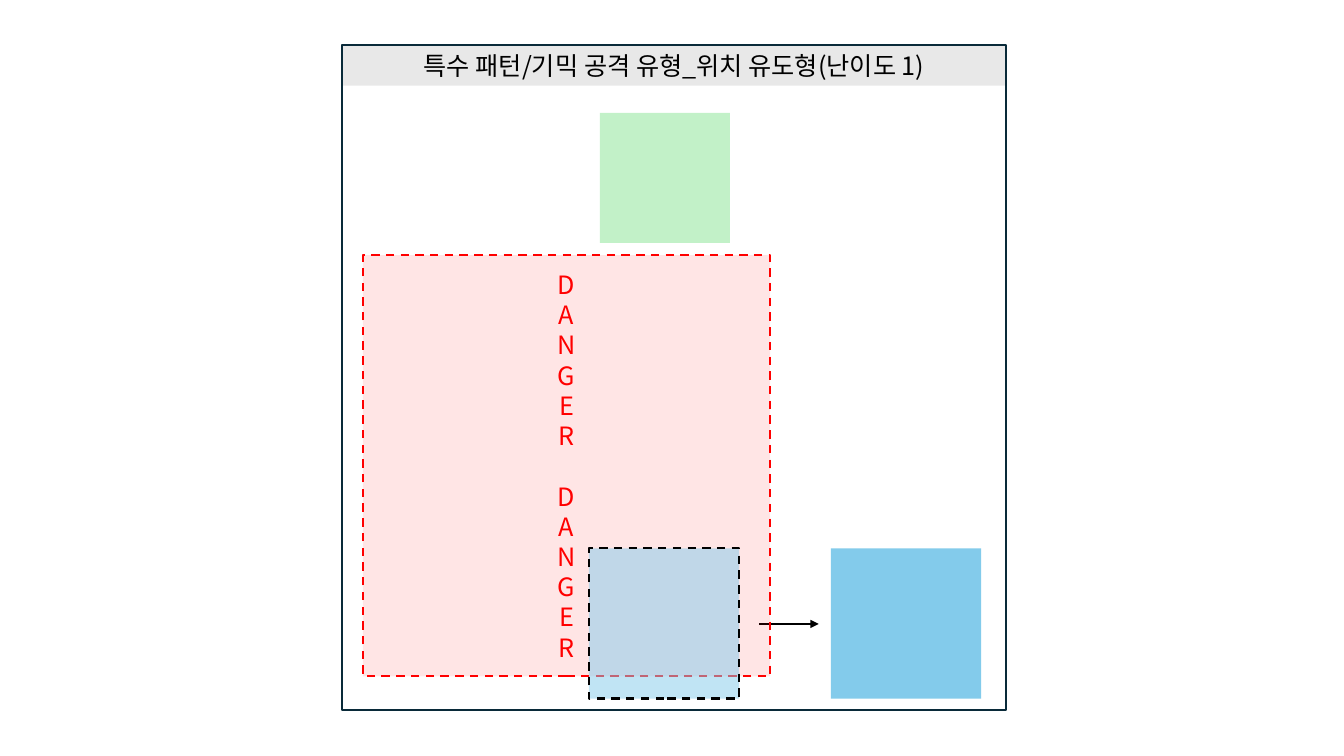
from dataclasses import dataclass
from typing import Optional

import lxml.etree
import pptx
import pptx.dml.color
import pptx.enum.dml
import pptx.enum.shapes
import pptx.enum.text
import pptx.oxml.ns
import pptx.shapes.autoshape
import pptx.slide
import pptx.util

RGBColor = pptx.dml.color.RGBColor
Inches = pptx.util.Inches
qn = pptx.oxml.ns.qn

BLACK = RGBColor(0x00, 0x00, 0x00)
GRAY = RGBColor(0xE8, 0xE8, 0xE8)
GREEN = RGBColor(0xC2, 0xF1, 0xC8)
NAVY = RGBColor(0x09, 0x2A, 0x39)
BLUE = RGBColor(0x83, 0xCB, 0xEB)
RED = RGBColor(0xFF, 0x00, 0x00)

FONT = "Noto Sans CJK KR"
TEXT_SIZE = pptx.util.Pt(18)
LINE_WIDTH = pptx.util.Pt(1.5)
WORD_GAP = pptx.util.Pt(21.6)

ARENA_LEFT, ARENA_TOP, ARENA_SIDE = 3.39, 0.45, 6.59
PLAYER_TOP, PLAYER_SIDE = 5.44, 1.49
ARROW_Y = 6.19


@dataclass(frozen=True)
class Box:
    left: float
    top: float
    width: float
    height: float
    fill: Optional[RGBColor] = None
    opacity: int = 100
    line: Optional[RGBColor] = None
    dashed: bool = False


TITLE_BAR = Box(ARENA_LEFT, ARENA_TOP, ARENA_SIDE, 0.4, GRAY)
BOSS = Box(5.95, 1.12, 1.29, 1.29, GREEN)
ARENA = Box(ARENA_LEFT, ARENA_TOP, ARENA_SIDE, ARENA_SIDE, line=NAVY)
PLAYER_AFTER = Box(8.24, PLAYER_TOP, PLAYER_SIDE, PLAYER_SIDE, BLUE)
DANGER_ZONE = Box(3.6, 2.53, 4.04, 4.18, RED, 10, RED, True)
PLAYER_BEFORE = Box(5.84, PLAYER_TOP, PLAYER_SIDE, PLAYER_SIDE, BLUE, 50, BLACK, True)


def draw_box(page: pptx.slide.Slide, box: Box) -> pptx.shapes.autoshape.Shape:
    shape = page.shapes.add_shape(
        pptx.enum.shapes.MSO_SHAPE.RECTANGLE,
        Inches(box.left), Inches(box.top), Inches(box.width), Inches(box.height),
    )
    shape.shadow.inherit = False
    if box.fill is None:
        shape.fill.background()
    else:
        shape.fill.solid()
        shape.fill.fore_color.rgb = box.fill
    if box.opacity < 100:
        color = shape.fill._xPr.find(qn("a:solidFill"))[0]
        lxml.etree.SubElement(color, qn("a:alpha"), val=str(box.opacity * 1000))
    if box.line is None:
        shape.line.fill.background()
    else:
        shape.line.color.rgb = box.line
        shape.line.width = LINE_WIDTH
    if box.dashed:
        shape.line.dash_style = pptx.enum.dml.MSO_LINE.DASH
    return shape


def write_words(shape: pptx.shapes.autoshape.Shape, words: list[list[str]], color: RGBColor) -> None:
    frame = shape.text_frame
    frame.word_wrap = True
    para = frame.paragraphs[0]
    for word_index, lines in enumerate(words):
        for line_index, text in enumerate(lines):
            if word_index or line_index:
                para = frame.add_paragraph()
            if word_index and not line_index:
                para.space_before = WORD_GAP
            para.alignment = pptx.enum.text.PP_ALIGN.CENTER
            span = para.add_run()
            span.text = text
            span.font.size = TEXT_SIZE
            span.font.color.rgb = color
            span.font.name = FONT
            lxml.etree.SubElement(span.font._element, qn("a:ea"), typeface=FONT)


def draw_arrow(page: pptx.slide.Slide, start: float, end: float, y: float) -> None:
    arrow = page.shapes.add_connector(
        pptx.enum.shapes.MSO_CONNECTOR.STRAIGHT,
        Inches(start), Inches(y), Inches(end), Inches(y),
    )
    arrow.line.color.rgb = BLACK
    arrow.line.width = LINE_WIDTH
    lxml.etree.SubElement(arrow.line._get_or_add_ln(), qn("a:tailEnd"), type="triangle")
    lxml.etree.SubElement(arrow._element.spPr, qn("a:effectLst"))


def main() -> None:
    deck = pptx.Presentation()
    deck.slide_width = Inches(13.33)
    deck.slide_height = Inches(7.5)
    page = deck.slides.add_slide(deck.slide_layouts[6])

    title = draw_box(page, TITLE_BAR)
    write_words(title, [["특수 패턴/기믹 공격 유형_위치 유도형(난이도 1)"]], BLACK)
    title.text_frame.auto_size = pptx.enum.text.MSO_AUTO_SIZE.SHAPE_TO_FIT_TEXT
    title.text_frame.vertical_anchor = pptx.enum.text.MSO_ANCHOR.TOP

    for box in (BOSS, ARENA, PLAYER_AFTER):
        draw_box(page, box)
    draw_arrow(page, 7.53, 8.12, ARROW_Y)

    danger = draw_box(page, DANGER_ZONE)
    write_words(danger, [list("DANGER")] * 2, RED)
    danger.text_frame.vertical_anchor = pptx.enum.text.MSO_ANCHOR.MIDDLE
    draw_box(page, PLAYER_BEFORE)

    deck.save("out.pptx")


if __name__ == "__main__":
    main()
